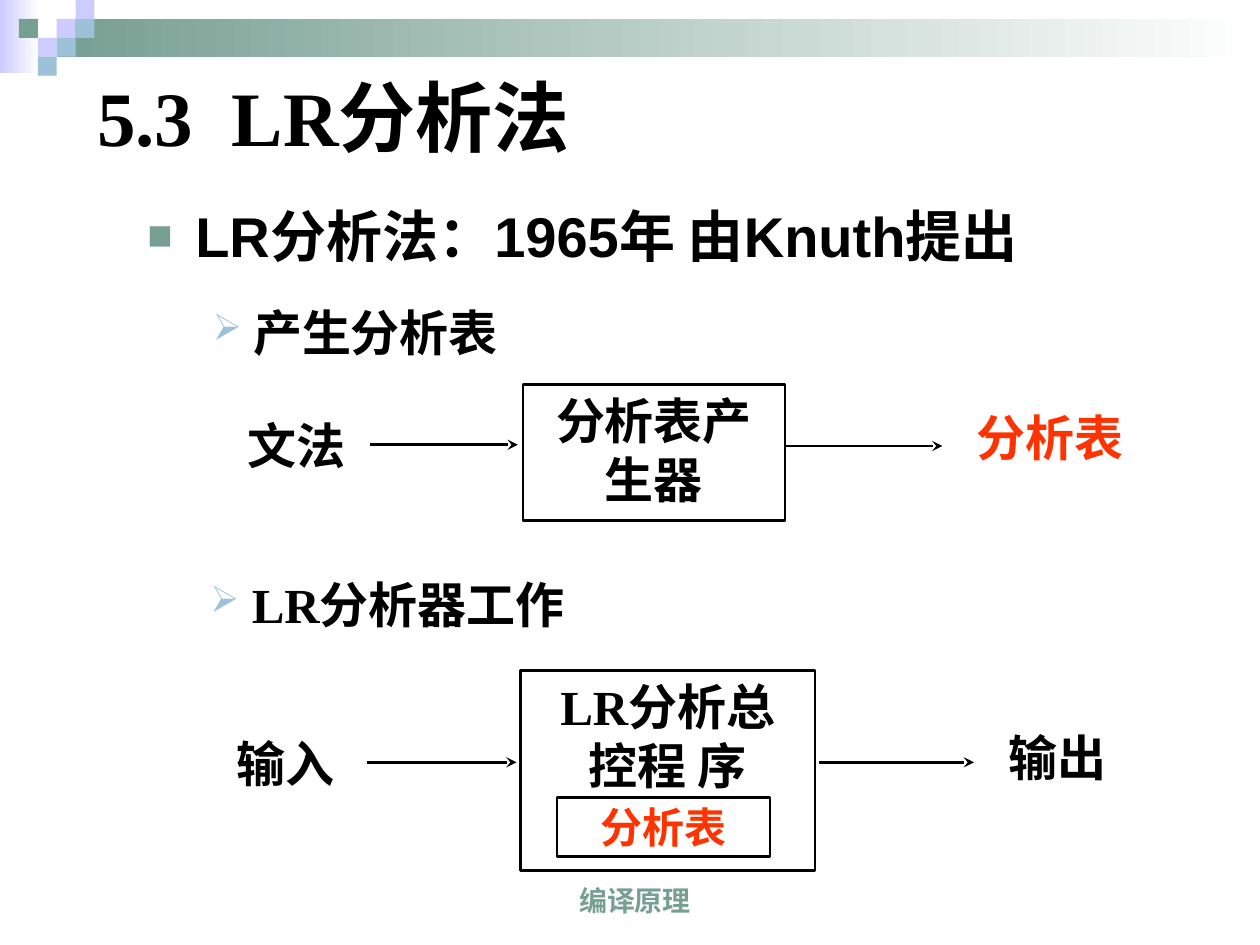
"""Build a slide on LR parsing: table generation and the parser at work."""
from lxml import etree
from pptx import Presentation
from pptx.dml.color import RGBColor
from pptx.enum.shapes import MSO_CONNECTOR, MSO_SHAPE
from pptx.enum.text import MSO_ANCHOR, MSO_AUTO_SIZE, PP_ALIGN
from pptx.oxml.ns import qn
from pptx.util import Inches, Pt

RECT = MSO_SHAPE.RECTANGLE
LINE = MSO_CONNECTOR.STRAIGHT
LEFT, CENTER = PP_ALIGN.LEFT, PP_ALIGN.CENTER
TOP, MIDDLE, BOTTOM = MSO_ANCHOR.TOP, MSO_ANCHOR.MIDDLE, MSO_ANCHOR.BOTTOM
NO_FIT = MSO_AUTO_SIZE.NONE


class Theme:
    ink, red, white = "000000", "FF3300", "FFFFFF"
    green, blue, lilac = "779F92", "9DC2D7", "CCCCFF"
    serif, sans = "Times New Roman", "Arial"
    title, body, label, small, foot = 44, 32, 28, 24, 16
    stroke = 1.5


def write(shape, text, size, color=Theme.ink, face=Theme.serif,
          align=CENTER, anchor=MIDDLE, wrap=True, mark=None, hang=0):
    frame = shape.text_frame
    frame.auto_size, frame.word_wrap = NO_FIT, wrap
    frame.vertical_anchor = anchor
    para = frame.paragraphs[0]
    para.alignment = align
    if mark:
        char, tint = mark
        props = para._p.get_or_add_pPr()
        props.set("marL", str(Inches(hang)))
        props.set("indent", str(-Inches(hang)))
        paint = etree.SubElement(props, qn("a:buClr"))
        etree.SubElement(paint, qn("a:srgbClr"), val=tint)
        etree.SubElement(props, qn("a:buSzPct"), val="75000")
        etree.SubElement(props, qn("a:buChar"), char=char)
    para.space_before = Pt(0)
    run = para.add_run()
    run.text = text
    run.font.name, run.font.size, run.font.bold = face, Pt(size), True
    run.font.color.rgb = RGBColor.from_string(color)


def block(place, fill=None):
    shape = shapes.add_shape(RECT, *map(Inches, place))
    shape.shadow.inherit = False
    if fill is None:
        shape.fill.background()
        shape.line.color.rgb = RGBColor.from_string(Theme.ink)
        shape.line.width = Pt(Theme.stroke)
        return shape
    shape.line.fill.background()
    if isinstance(fill, tuple):
        shape.fill.gradient()
        shape.fill.gradient_angle = 0
        for stop, color in zip(shape.fill.gradient_stops, fill):
            stop.color.rgb = RGBColor.from_string(color)
    else:
        shape.fill.solid()
        shape.fill.fore_color.rgb = RGBColor.from_string(fill)
    return shape


deck = Presentation()
deck.slide_width, deck.slide_height = Inches(10), Inches(7.5)
slide = deck.slides.add_slide(deck.slide_layouts[1])
shapes = slide.shapes

block((0, 0, 0.31, 0.58), (Theme.lilac, Theme.white))
block((0.45, 0.15, 9.55, 0.3), (Theme.green, Theme.white))
TILE = 0.15
for col, row, color in [
    (3, 1, Theme.lilac), (4, 0, Theme.lilac), (4, 1, Theme.blue),
    (2, 2, Theme.lilac), (1, 1, Theme.green), (3, 2, Theme.blue),
    (2, 3, Theme.blue),
]:
    block((col * TILE, row * TILE, TILE, TILE), color)

title, body = shapes.title, slide.placeholders[1]
for holder, place in [(title, (0.67, 0.5, 9.17, 0.83)),
                      (body, (1.07, 1.55, 8.42, 1))]:
    holder.left, holder.top, holder.width, holder.height = map(Inches, place)
write(title, "5.3  LR分析法", Theme.title, align=LEFT)
write(body, "LR分析法：1965年 由Knuth提出", Theme.body, face=Theme.sans,
      align=LEFT, anchor=TOP, mark=("■", Theme.green), hang=0.38)
body.text_frame.paragraphs[0].space_before = Pt(8)

for place, text in [((1.57, 2.3, 2.5, 0.67), " 产生分析表"),
                    ((1.74, 4.46, 2.67, 0.67), " LR分析器工作")]:
    write(shapes.add_textbox(*map(Inches, place)), text, Theme.label,
          wrap=False, mark=("➢", Theme.blue))

for place, text in [((4.15, 3.05, 2.08, 1.08), "分析表产生器"),
                    ((4.13, 5.32, 2.34, 1.59), "LR分析总 控程 序")]:
    write(block(place), text, Theme.label, anchor=TOP)
write(block((4.42, 6.33, 1.69, 0.47)), "分析表", Theme.small, Theme.red,
      wrap=False)

for place, text, color in [
    ((1.69, 3.2, 1.33, 0.67), "文法", Theme.ink),
    ((7.57, 3.13, 1.52, 0.67), "分析表", Theme.red),
    ((1.53, 5.72, 1.47, 0.67), "输入", Theme.ink),
    ((7.73, 5.72, 1.33, 0.58), "输出", Theme.ink),
]:
    write(shapes.add_textbox(*map(Inches, place)), text, Theme.label, color,
          wrap=False)

for start, end, y in [(2.94, 4.11, 3.53), (6.24, 7.48, 3.54),
                      (2.91, 4.1, 6.05), (6.5, 7.73, 6.05)]:
    arrow = shapes.add_connector(LINE, *map(Inches, (start, y, end, y)))
    arrow.line.color.rgb = RGBColor.from_string(Theme.ink)
    arrow.line.width = Pt(Theme.stroke)
    props = arrow._element.spPr
    etree.SubElement(props.get_or_add_ln(), qn("a:tailEnd"), type="stealth")
    etree.SubElement(props, qn("a:effectLst"))

foot = shapes.add_textbox(*map(Inches, (3.27, 6.83, 3.54, 0.5)))
write(foot, "编译原理", Theme.foot, Theme.green, Theme.sans, anchor=BOTTOM)

deck.save("out.pptx")
